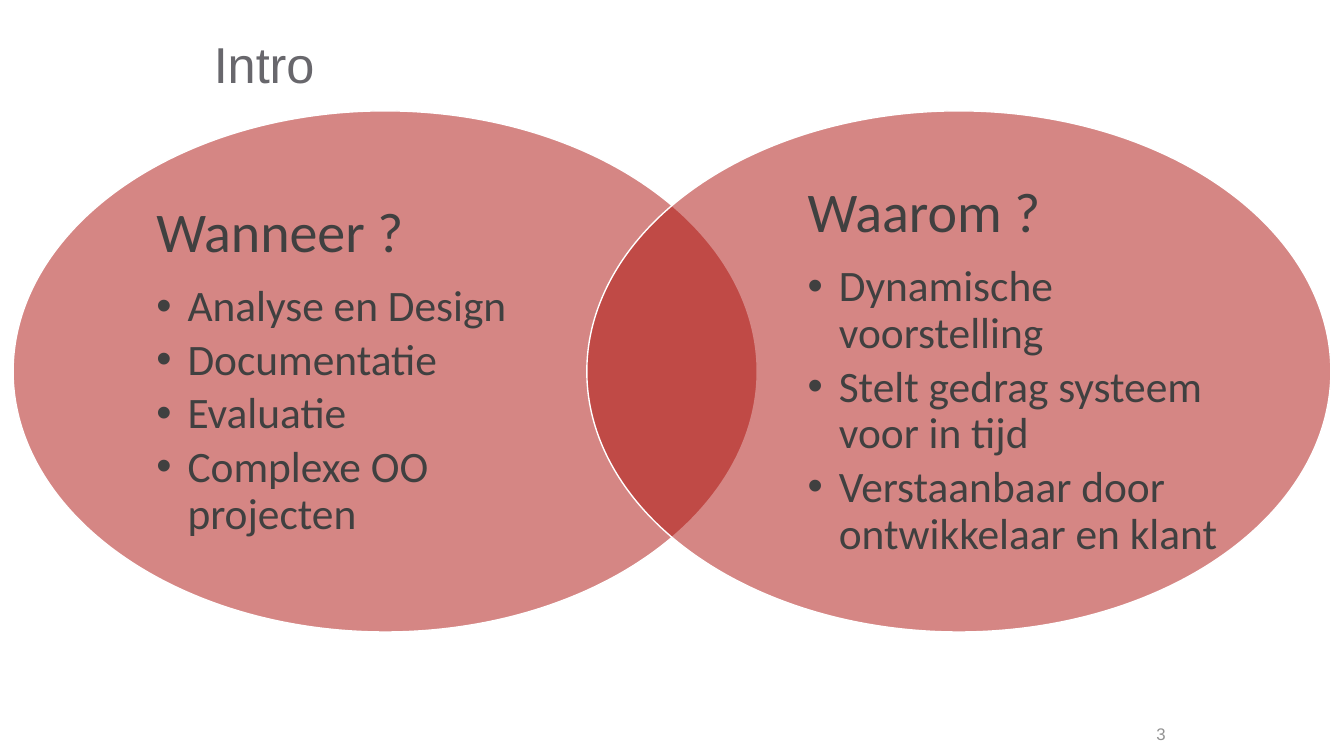
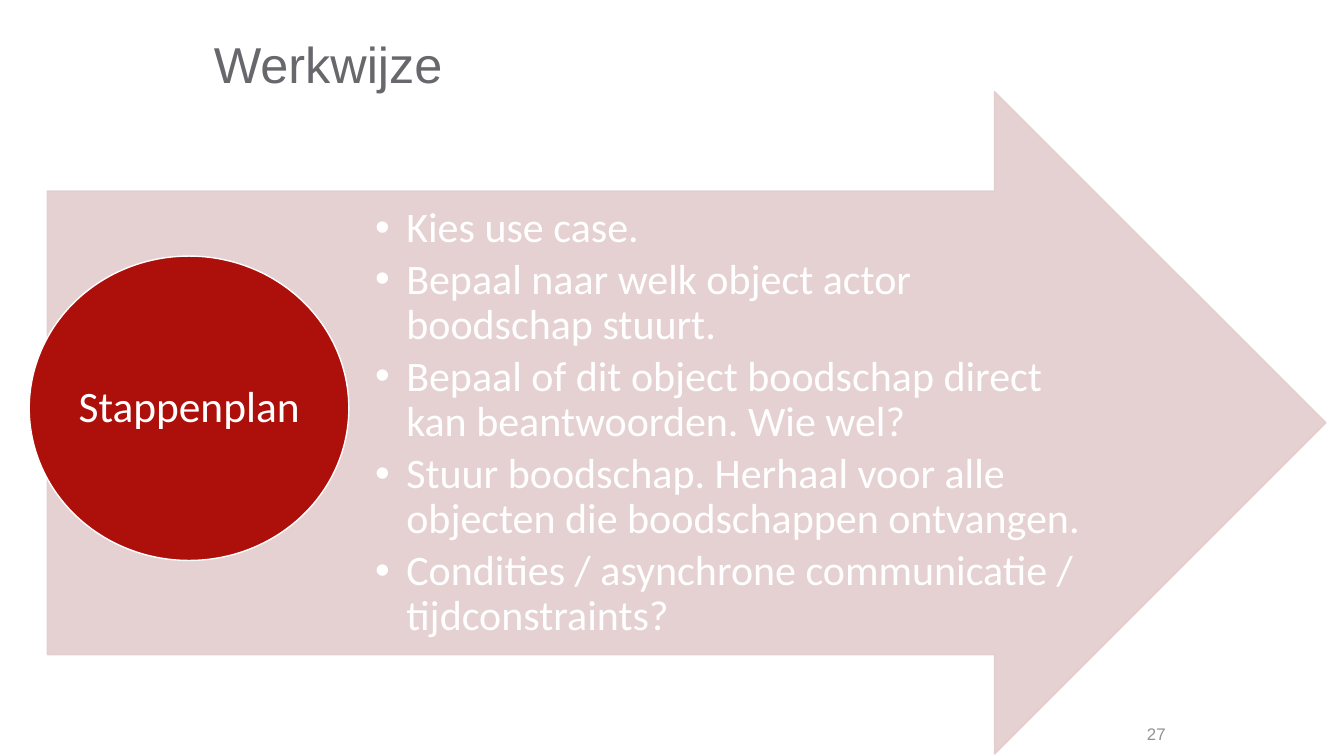
from lxml import etree
from pptx import Presentation
from pptx.dml.color import RGBColor
from pptx.enum.shapes import MSO_SHAPE
from pptx.enum.text import MSO_ANCHOR, MSO_AUTO_SIZE, PP_ALIGN
from pptx.oxml.ns import qn
from pptx.util import Pt

ELLIPSE, RIGHT_ARROW = MSO_SHAPE.OVAL, MSO_SHAPE.RIGHT_ARROW
LEFT, CENTER, RIGHT = PP_ALIGN.LEFT, PP_ALIGN.CENTER, PP_ALIGN.RIGHT
MIDDLE, FIXED_SIZE = MSO_ANCHOR.MIDDLE, MSO_AUTO_SIZE.NONE
EMU_PER_PX = 9144
TITLE_ONLY = 5


def px(length):
    return length * EMU_PER_PX


def paint(color_format, hex_color, opacity=100):
    color_format.rgb = RGBColor.from_string(hex_color)
    if opacity < 100:
        rgb_element = color_format._xFill.find(qn("a:srgbClr"))
        etree.SubElement(rgb_element, qn("a:alpha"), val=str(opacity * 1000))


def write(paragraph, text, size, color, font, align=LEFT, line=None, after=0, bullet=False):
    if bullet:
        paragraph.level = 1
        props = paragraph._p.get_or_add_pPr()
        props.set("marL", str(px(31)))
        props.set("indent", str(px(-31)))
        etree.SubElement(props, qn("a:buFont"), typeface="Arial")
        etree.SubElement(props, qn("a:buChar"), char="•")
    paragraph.alignment = align
    if line:
        paragraph.line_spacing = line
    paragraph.space_before = Pt(0)
    paragraph.space_after = Pt(size * after)
    run = paragraph.add_run()
    run.text = text
    run.font.size = Pt(size)
    run.font.name = font
    paint(run.font.color, color)


class Deck:
    RED, BLUSH, WHITE, DARK = "AD0F0A", "E3CCCC", "FFFFFF", "404040"
    TITLE = dict(size=36, color="68676C", font="Arial")
    NUMBER = dict(size=12, color="929292", font="Arial", align=RIGHT)
    HEADING = dict(font="Calibri", line=0.9, after=0.35)
    BULLET = dict(font="Calibri", line=0.9, after=0.15, bullet=True)

    def __init__(self):
        self.presentation = Presentation()
        self.presentation.slide_width = px(1333)
        self.presentation.slide_height = px(750)
        self.slide = None

    def add_slide(self, title, number):
        layout = self.presentation.slide_layouts[TITLE_ONLY]
        self.slide = self.presentation.slides.add_slide(layout)
        heading = self.slide.shapes.title
        heading.left, heading.top, heading.width, heading.height = map(px, (202, 0, 953, 125))
        self.fill_frame(heading.text_frame, [(title, self.TITLE)], (10, 5, 10, 5))
        self.text((933, 708, 233, 40), [(number, self.NUMBER)], (10, 5, 10, 5))

    def fill_frame(self, frame, lines, insets):
        frame.word_wrap = True
        frame.auto_size = FIXED_SIZE
        frame.vertical_anchor = MIDDLE
        (frame.margin_left, frame.margin_top,
         frame.margin_right, frame.margin_bottom) = map(px, insets)
        for index, (text, style) in enumerate(lines):
            paragraph = frame.add_paragraph() if index else frame.paragraphs[0]
            write(paragraph, text, **style)

    def text(self, box, lines, insets=(0, 0, 0, 0)):
        textbox = self.slide.shapes.add_textbox(*map(px, box))
        self.fill_frame(textbox.text_frame, lines, insets)

    def shape(self, kind, box, fill, outline, opacity=100, outline_opacity=100, adjustments=()):
        shape = self.slide.shapes.add_shape(kind, *map(px, box))
        shape.shadow.inherit = False
        for index, value in enumerate(adjustments):
            shape.adjustments[index] = value
        for area, color, alpha in ((shape.fill, fill, opacity),
                                   (shape.line.fill, outline, outline_opacity)):
            area.solid()
            paint(area.fore_color, color, alpha)
        shape.line.width = Pt(1)

    def bullets(self, items, size, color):
        return [(item, dict(self.BULLET, size=size, color=color)) for item in items]

    def venn_circle(self, left, text_left, question, answers):
        self.shape(ELLIPSE, (left, 110, 738, 517), self.RED, self.WHITE, opacity=50)
        heading = (question, dict(self.HEADING, size=40, color=self.DARK))
        self.text((text_left, 171, 425, 395), [heading] + self.bullets(answers, 31, self.DARK))

    def step_arrow(self, label, steps):
        self.shape(RIGHT_ARROW, (47, 91, 1268, 657), self.BLUSH, self.BLUSH,
                   opacity=90, outline_opacity=90, adjustments=(0.7, 0.5))
        self.text((364, 190, 721, 460), self.bullets(steps, 30, self.WHITE), (8, 2, 4, 2))
        self.shape(ELLIPSE, (29, 254, 317, 302), self.RED, self.WHITE)
        style = dict(self.HEADING, size=31, color=self.WHITE, align=CENTER)
        self.text((75, 298, 225, 214), [(label, style)], (2, 2, 2, 2))


def main():
    deck = Deck()

    deck.add_slide("Intro", "3")
    deck.venn_circle(13, 155, "Wanneer ?", [
        "Analyse en Design",
        "Documentatie",
        "Evaluatie",
        "Complexe OO projecten",
    ])
    deck.venn_circle(582, 801, "Waarom ?", [
        "Dynamische voorstelling",
        "Stelt gedrag systeem voor in tijd",
        "Verstaanbaar door ontwikkelaar en klant",
    ])

    deck.add_slide("Werkwijze", "27")
    deck.step_arrow("Stappenplan", [
        "Kies use case.",
        "Bepaal naar welk object actor boodschap stuurt.",
        "Bepaal of dit object boodschap direct kan beantwoorden. Wie wel?",
        "Stuur boodschap. Herhaal voor alle objecten die boodschappen ontvangen.",
        "Condities / asynchrone communicatie / tijdconstraints?",
    ])

    deck.presentation.save("out.pptx")


if __name__ == "__main__":
    main()
